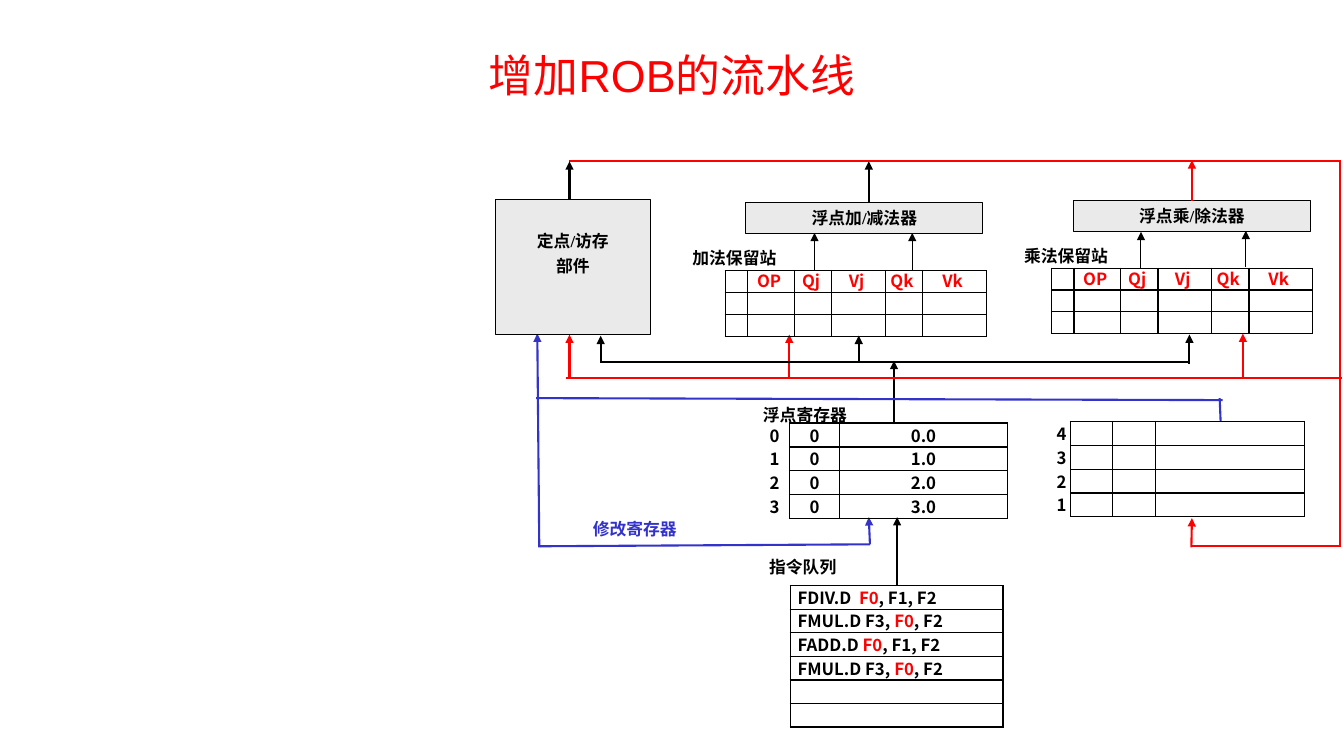
from dataclasses import dataclass

from lxml import etree
from pptx import Presentation
from pptx.dml.color import RGBColor
from pptx.enum.shapes import MSO_CONNECTOR, MSO_SHAPE
from pptx.enum.text import MSO_ANCHOR, PP_ALIGN
from pptx.oxml.ns import qn
from pptx.util import Pt

STRAIGHT = MSO_CONNECTOR.STRAIGHT
RECTANGLE = MSO_SHAPE.RECTANGLE
MIDDLE, TOP = MSO_ANCHOR.MIDDLE, MSO_ANCHOR.TOP
LEFT, CENTER, RIGHT = PP_ALIGN.LEFT, PP_ALIGN.CENTER, PP_ALIGN.RIGHT

COLORS = {"black": "000000", "red": "FF0000", "blue": "3333CC", "gray": "EAEAEA"}
SERIF, SANS, TITLE_FONT = "Times New Roman", "Noto Sans CJK SC", "Arial"


@dataclass
class Span:
    text: str
    color: str = "black"


@dataclass
class Label:
    text: str
    left: float
    top: float
    color: str = "black"


@dataclass
class Unit:
    lines: list[str]
    left: float
    top: float
    width: float
    height: float
    anchor: int = MIDDLE
    margin_top: float = 3.6


@dataclass
class Wire:
    start: tuple[float, float]
    end: tuple[float, float]
    color: str = "black"
    arrow: bool = True
    width: float = 1.5


@dataclass
class Grid:
    left: float
    top: float
    columns: list[float]
    row_height: float
    rows: list[list[list[Span]]]
    aligns: list[int]
    margins: tuple[float, float]
    numbered: bool = False


def rgb(color: str) -> RGBColor:
    return RGBColor.from_string(COLORS[color])


def add_span(para, span: Span, font: str, size: float = 12, bold: bool = True) -> None:
    run = para.add_run()
    run.text = span.text
    run.font.size, run.font.bold, run.font.name = Pt(size), bold, font
    run.font.color.rgb = rgb(span.color)
    etree.SubElement(run.font._element, qn("a:ea"), typeface=SANS)


def draw_title(page) -> None:
    box = page.shapes.add_textbox(Pt(72), Pt(33), Pt(816), Pt(41))
    frame = box.text_frame
    frame.word_wrap, frame.vertical_anchor = True, MIDDLE
    para = frame.paragraphs[0]
    para.alignment = CENTER
    add_span(para, Span("增加ROB的流水线", "red"), TITLE_FONT, 32, False)


def draw_label(page, label: Label) -> None:
    box = page.shapes.add_textbox(Pt(label.left), Pt(label.top), Pt(85), Pt(14.4))
    frame = box.text_frame
    frame.word_wrap = True
    frame.margin_left = frame.margin_right = frame.margin_top = frame.margin_bottom = 0
    add_span(frame.paragraphs[0], Span(label.text, label.color), SERIF)


def draw_unit(page, unit: Unit):
    box = page.shapes.add_shape(
        RECTANGLE, Pt(unit.left), Pt(unit.top), Pt(unit.width), Pt(unit.height))
    box.shadow.inherit = False
    box.fill.solid()
    box.fill.fore_color.rgb = rgb("gray")
    box.line.color.rgb = rgb("black")
    box.line.width = Pt(0.75)
    frame = box.text_frame
    frame.word_wrap, frame.vertical_anchor = True, unit.anchor
    frame.margin_top = Pt(unit.margin_top)
    for index, line in enumerate(unit.lines):
        para = frame.paragraphs[0] if index == 0 else frame.add_paragraph()
        para.alignment = CENTER
        para.space_before = Pt(3.5 if index else 0)
        add_span(para, Span(line), SERIF)
    return box


def draw_wire(page, wire: Wire):
    line = page.shapes.add_connector(STRAIGHT, *(Pt(n) for n in wire.start + wire.end))
    line.line.color.rgb = rgb(wire.color)
    line.line.width = Pt(wire.width)
    if wire.arrow:
        etree.SubElement(line.line._get_or_add_ln(), qn("a:tailEnd"), type="triangle")
    etree.SubElement(line._element.spPr, qn("a:effectLst"))
    return line


def set_borders(cell, visible: set[str]) -> None:
    properties = cell._tc.get_or_add_tcPr()
    for index, side in enumerate("LRTB"):
        border = etree.Element(qn(f"a:ln{side}"), w=str(Pt(1)))
        if side in visible:
            fill = etree.SubElement(border, qn("a:solidFill"))
            etree.SubElement(fill, qn("a:srgbClr"), val=COLORS["black"])
        else:
            etree.SubElement(border, qn("a:noFill"))
        properties.insert(index, border)


def draw_grid(page, grid: Grid) -> None:
    table = page.shapes.add_table(
        len(grid.rows), len(grid.columns), Pt(grid.left), Pt(grid.top),
        Pt(sum(grid.columns)), Pt(grid.row_height * len(grid.rows))).table
    table.first_row = table.horz_banding = False
    for column, width in zip(table.columns, grid.columns):
        column.width = Pt(width)
    for row, contents in zip(table.rows, grid.rows):
        row.height = Pt(grid.row_height)
        for index, (cell, spans) in enumerate(zip(row.cells, contents)):
            cell.margin_left, cell.margin_right = (Pt(n) for n in grid.margins)
            cell.margin_top = cell.margin_bottom = 0
            cell.fill.background()
            set_borders(cell, {"R"} if grid.numbered and index == 0 else set("LRTB"))
            para = cell.text_frame.paragraphs[0]
            para.alignment = grid.aligns[index]
            para.line_spacing = Pt(grid.row_height)
            for span in spans:
                add_span(para, span, SANS)
            if not spans:
                etree.SubElement(para._p, qn("a:endParaRPr"), sz="1200")


def station(left: float, top: float) -> Grid:
    header = [[]] + [[Span(name, "red")] for name in ("OP", "Qj", "Vj", "Qk", "Vk")]
    return Grid(left, top, [16.2, 33.2, 26.8, 38.2, 26.8, 45.4], 15.6,
                [header] + [[[]] * 6] * 2, [CENTER] * 6, (0, 2.9))


def instruction(text: str) -> list[list[Span]]:
    before, register, after = text.partition("F0")
    return [[Span(before), Span(register, "red"), Span(after)]]


INTEGER = Unit(["定点/访存", "部件"], 353.8, 142.6, 110.9, 96.5, TOP, 22.5)
ADDER = Unit(["浮点加/减法器"], 532.8, 144.7, 169.2, 22.3)
MULTIPLIER = Unit(["浮点乘/除法器"], 766.8, 143.3, 169.2, 22.3)
MULTIPLIER_OUTPUT = Wire((851.4, 143.3), (851.4, 114.5), "red")

WIRES = [
    Wire((581.8, 193), (581.8, 166.3), width=0.75),
    Wire((651.6, 193), (651.6, 166.3), width=0.75),
    Wire((815, 192.2), (815, 165.6), width=0.75),
    Wire((889.9, 190.8), (889.9, 164.9), width=0.75),
    Wire((640.8, 418.3), (640.8, 369.4)),
    Wire((613.4, 259.2), (613.4, 239.8)),
    Wire((849.6, 259.9), (849.6, 239)),
    Wire((620.6, 144.7), (620.6, 115.2)),
    Wire((406.1, 115.2), (957.6, 115.2), "red", False),
    Wire((563.8, 270), (563.8, 239), "red"),
    Wire((887.8, 270.7), (887.8, 238.3), "red"),
    Wire((956.9, 115.2), (956.9, 390.2), "red", False),
    Wire((638.6, 303.1), (638.6, 257.8)),
    Wire((851, 390.2), (957.6, 390.2), "red", False),
    Wire((851, 391), (851.4, 370.1), "red"),
    Wire((429.1, 258.5), (848.9, 258.5), arrow=False),
    Wire((404.6, 270), (958.3, 270), "red", False),
    Wire((406.8, 144), (406.8, 115.2)),
    Wire((406.8, 270), (406.8, 239), "red"),
    Wire((429.1, 259.2), (429.1, 239.8)),
    Wire((871.9, 301), (871.2, 284.4), "blue", False),
    Wire((385.9, 390.2), (621.4, 388.8), "blue", False),
    Wire((621.4, 388.8), (620.6, 369.4), "blue"),
    Wire((383, 284.4), (873.4, 285.8), "blue", False),
    Wire((385.2, 391), (383.8, 238.3), "blue"),
]
LABELS = [
    Label("加法保留站", 494.6, 177.1),
    Label("浮点寄存器", 545, 289.4),
    Label("乘法保留站", 731.5, 175.7),
    Label("指令队列", 549.4, 397.4),
    Label("修改寄存器", 423.4, 370.8, "blue"),
]
REGISTERS = [[[Span(str(n))], [Span("0")], [Span(f"{n}.0")]] for n in range(4)]
BUFFER = [[[Span(str(n))], [], [], []] for n in range(4, 0, -1)]
QUEUE = [instruction(text) for text in (
    "FDIV.D  F0, F1, F2", "FMUL.D F3, F0, F2", "FADD.D F0, F1, F2", "FMUL.D F3, F0, F2")]
GRIDS = [
    Grid(535.5, 302.2, [28.5, 35.6, 120.2], 17, REGISTERS, [RIGHT, CENTER, CENTER], (7.2, 7.2), True),
    Grid(564.5, 418.3, [152], 16.8, QUEUE + [[[]]] * 2, [LEFT], (5.2, 5.2)),
    station(751, 191.5),
    station(518, 193.4),
    Grid(747.4, 301, [17.3, 30.2, 30.6, 106.4], 17, BUFFER, [RIGHT] + [CENTER] * 3, (0, 3), True),
]


def main() -> None:
    deck = Presentation()
    deck.slide_width, deck.slide_height = Pt(960), Pt(540)
    page = deck.slides.add_slide(deck.slide_layouts[6])
    for wire in WIRES:
        draw_wire(page, wire)
    for unit in (INTEGER, ADDER):
        draw_unit(page, unit)
    multiplier = draw_unit(page, MULTIPLIER)
    draw_wire(page, MULTIPLIER_OUTPUT).begin_connect(multiplier, 0)
    for label in LABELS:
        draw_label(page, label)
    for grid in GRIDS:
        draw_grid(page, grid)
    draw_title(page)
    deck.save("out.pptx")


if __name__ == "__main__":
    main()
